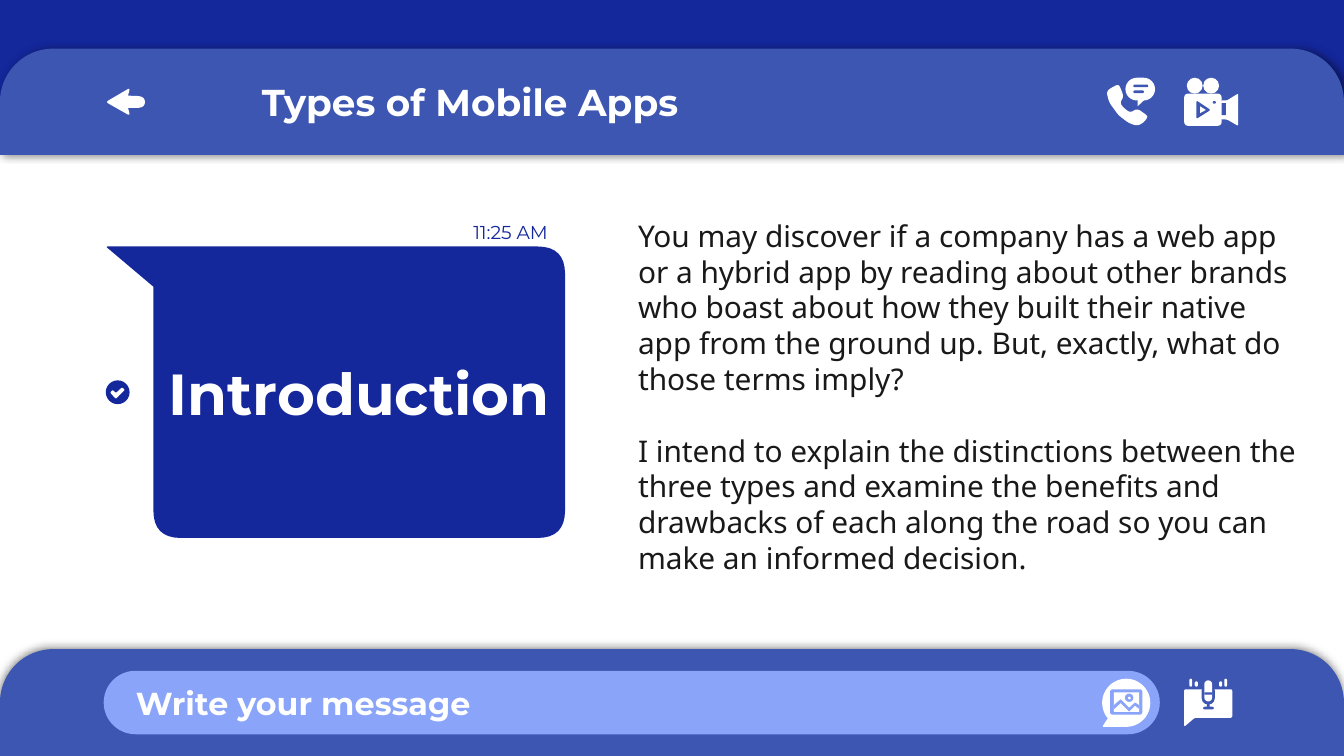
from dataclasses import dataclass
from math import hypot

from lxml.etree import SubElement
from pptx import Presentation
from pptx.dml.color import RGBColor
from pptx.enum.shapes import MSO_SHAPE as SHAPE
from pptx.enum.text import MSO_ANCHOR as ANCHOR, PP_ALIGN as ALIGN
from pptx.oxml.ns import qn
from pptx.util import Cm, Pt


@dataclass(frozen=True)
class Theme:
    """Colours, fonts and type sizes of the slide."""
    navy: str = "14279B"
    blue: str = "3D56B2"
    pale: str = "8AA4F9"
    white: str = "FFFFFF"
    ink: str = "191919"
    head_font: str = "Montserrat"
    body_font: str = "Noto Sans"
    title: int = 31
    heading: int = 20
    prompt: int = 17
    body: int = 16
    time: int = 10


@dataclass(frozen=True)
class Box:
    """A rectangle in centimetres."""
    x: float
    y: float
    w: float
    h: float

    def sub(self, dx, dy, w, h):
        """Return a box offset from this one's top left corner."""
        return Box(self.x + dx, self.y + dy, w, h)

    def emu(self):
        """Return left, top, width and height as lengths."""
        return Cm(self.x), Cm(self.y), Cm(self.w), Cm(self.h)


T = Theme()


def paint(sp, color):
    """Give a shape a plain fill without line or shadow."""
    sp.shadow.inherit = False
    sp.fill.solid()
    sp.fill.fore_color.rgb = RGBColor.from_string(color)
    sp.line.fill.background()
    return sp


def preset(s, kind, box, color, *adjust):
    """Add a filled preset shape."""
    sp = paint(s.shapes.add_shape(kind, *box.emu()), color)
    for i, value in enumerate(adjust):
        sp.adjustments[i] = value
    return sp


def parts(s, box, kind, color, rects, *adjust):
    """Add several presets of one kind, offset from the box."""
    for rect in rects:
        preset(s, kind, box.sub(*rect), color, *adjust)


def soften(corners, radius):
    """Round the corners; a third value in a corner is its own radius."""
    points = []
    for i, (x, y, *own) in enumerate(corners):
        r = own[0] if own else radius
        if not r:
            points.append((x, y))
            continue
        ends = []
        for nx, ny, *_ in (corners[i - 1], corners[(i + 1) % len(corners)]):
            k = min(r / hypot(nx - x, ny - y), 0.5)
            ends.append((x + (nx - x) * k, y + (ny - y) * k))
        (ax, ay), (bx, by) = ends
        for t in (n / 8 for n in range(9)):
            a, m, b = (1 - t) ** 2, 2 * t * (1 - t), t * t
            points.append((a * ax + m * x + b * bx, a * ay + m * y + b * by))
    return points


def outline(s, box, color, corners, radius=0):
    """Add a closed outline whose corners are offsets from the box."""
    points = [(Cm(box.x + x), Cm(box.y + y)) for x, y in soften(corners, radius)]
    builder = s.shapes.build_freeform(*points[0])
    builder.add_line_segments(points[1:])
    return paint(builder.convert_to_shape(), color)


def text(s, box, lines, size, color, font=T.head_font, bold=False,
         align=ALIGN.LEFT, anchor=ANCHOR.MIDDLE):
    """Add a text box with one paragraph per line and return its frame."""
    tf = s.shapes.add_textbox(*box.emu()).text_frame
    tf.word_wrap = True
    tf.vertical_anchor = anchor
    tf.margin_left = tf.margin_right = tf.margin_top = tf.margin_bottom = Cm(0.25)
    tf.text = "\n".join(lines)
    for p in tf.paragraphs:
        p.alignment = align
        for r in p.runs:
            r.font.name, r.font.size, r.font.bold = font, Pt(size), bold
            r.font.color.rgb = RGBColor.from_string(color)
    return tf


def bar(s, box, angle):
    """Draw a blue bar with round top corners and a soft shadow."""
    sp = preset(s, SHAPE.ROUND_2_SAME_RECTANGLE, box, T.blue, 0.5, 0)
    effects = sp._element.spPr.find(qn("a:effectLst"))
    shadow = SubElement(effects, qn("a:outerShdw"), blurRad=str(Pt(4.5)),
                        dist=str(Pt(1.5)), dir=str(angle * 60000), rotWithShape="0")
    black = SubElement(shadow, qn("a:srgbClr"), val="000000")
    SubElement(black, qn("a:alpha"), val="50000")


def phone_icon(s, box):
    """Draw a handset with a speech bubble."""
    outline(s, box, T.white, [
        (0.2, 0.13), (0, 0.25), (0.05, 0.46), (0.23, 0.71), (0.43, 0.86),
        (0.58, 0.91), (0.69, 0.86), (0.79, 0.74), (0.74, 0.69), (0.58, 0.58),
        (0.46, 0.66), (0.36, 0.6), (0.25, 0.48), (0.33, 0.36), (0.25, 0.15)], 0.08)
    parts(s, box, SHAPE.ROUNDED_RECTANGLE, T.white, [(0.36, 0, 0.56, 0.43)], 0.5)
    outline(s, box, T.white, [(0.59, 0.4), (0.59, 0.54), (0.74, 0.4)])
    parts(s, box, SHAPE.ROUNDED_RECTANGLE, T.blue,
          [(0.51, 0.13, 0.28, 0.05), (0.51, 0.24, 0.2, 0.05)], 0.5)


def camera_icon(s, box):
    """Draw a film camera with two reels and a play mark."""
    parts(s, box, SHAPE.OVAL, T.white, [(0.05, 0, 0.3, 0.3), (0.36, 0, 0.3, 0.3)])
    parts(s, box, SHAPE.ROUNDED_RECTANGLE, T.white, [(0, 0.3, 0.71, 0.61)], 0.12)
    outline(s, box, T.white, [(0.7, 0.43), (0.81, 0.43), (1.02, 0.3),
                              (1.02, 0.91), (0.81, 0.79), (0.7, 0.79)], 0.03)
    parts(s, box, SHAPE.RECTANGLE, T.blue, [(0.71, 0.48, 0.08, 0.23)])
    parts(s, box, SHAPE.OVAL, T.blue, [(0.54, 0.44, 0.06, 0.05)])
    outline(s, box, T.blue, [(0.23, 0.43), (0.5, 0.61), (0.23, 0.78)], 0.04)
    outline(s, box, T.white, [(0.3, 0.54), (0.41, 0.61), (0.3, 0.67)])


def picture_icon(s, box):
    """Draw a framed landscape in a round bubble."""
    preset(s, SHAPE.OVAL, box, T.white)
    outline(s, box, T.white, [(0, 0.91), (0.46, 0.91), (0.12, 0.73)], 0.03)
    parts(s, box, SHAPE.ROUNDED_RECTANGLE, T.pale, [(0.15, 0.2, 0.61, 0.48)], 0.1)
    parts(s, box, SHAPE.RECTANGLE, T.white, [(0.22, 0.26, 0.48, 0.37)])
    outline(s, box, T.pale, [
        (0.22, 0.5), (0.35, 0.39), (0.51, 0.55), (0.62, 0.45), (0.7, 0.5),
        (0.7, 0.57), (0.62, 0.51), (0.51, 0.62), (0.35, 0.46), (0.22, 0.58)])
    parts(s, box, SHAPE.OVAL, T.pale, [(0.43, 0.28, 0.16, 0.16)])
    parts(s, box, SHAPE.OVAL, T.white, [(0.49, 0.34, 0.05, 0.05)])


def microphone_icon(s, box):
    """Draw a microphone on a speech bubble with sound marks."""
    pill = SHAPE.ROUNDED_RECTANGLE
    outline(s, box, T.white, [(0, 0.2), (0.91, 0.2), (0.91, 0.74),
                              (0.2, 0.74), (0, 0.91)], 0.04)
    parts(s, box, pill, T.white, [(0.1, 0, 0.05, 0.15), (0.2, 0.05, 0.06, 0.1),
                                  (0.66, 0.05, 0.06, 0.1), (0.76, 0, 0.05, 0.15)], 0.5)
    parts(s, box, pill, T.blue, [(0.33, 0.1, 0.25, 0.39), (0.43, 0.46, 0.05, 0.1),
                                 (0.36, 0.53, 0.2, 0.05)], 0.5)
    parts(s, box, pill, T.white, [(0.38, 0.03, 0.15, 0.4)], 0.5)
    parts(s, box, SHAPE.RECTANGLE, T.blue, [(0.38, 0.26, 0.15, 0.04)])


def header(s, box):
    """Draw the top bar with back arrow, heading and call icons."""
    preset(s, SHAPE.RECTANGLE, Box(box.x, box.y, box.w, 2.55), T.navy)
    bar(s, box.sub(0, 0.92, box.w, box.h - 0.92), 0)
    outline(s, box.sub(2, 1.66, 0.74, 0.53), T.white, [
        (0, 0.27), (0.46, 0.53), (0.42, 0.38, 0), (0.74, 0.38, 0.15),
        (0.74, 0.16, 0.15), (0.42, 0.15, 0), (0.46, 0)], 0.06)
    text(s, box.sub(4.7, 1.23, 9.47, 1.37), ["Types of Mobile Apps"],
         T.heading, T.white, bold=True)
    phone_icon(s, box.sub(20.91, 1.47, 0.91, 0.91))
    camera_icon(s, box.sub(22.38, 1.47, 1.02, 0.91))


def message(s, box, title, time):
    """Draw a speech bubble with its title, time and read mark."""
    left, tail, w, h = 0.9, 0.76, box.w, box.h
    outline(s, box, T.navy, [(0, 0, 0.04), (w, 0), (w, h), (left, h),
                             (left, tail, 0)], 0.52)
    text(s, box.sub(left, 1.84, w - left, 1.83), [title], T.title, T.white,
         bold=True, align=ALIGN.CENTER)
    text(s, box.sub(w - 2.24, -0.68, 2.16, 0.81), [time], T.time, T.navy,
         align=ALIGN.RIGHT)
    mark = box.sub(0, 2.53, 0.45, 0.45)
    preset(s, SHAPE.OVAL, mark, T.navy)
    outline(s, mark, T.white, [(0.08, 0.23), (0.13, 0.18), (0.19, 0.24),
                               (0.31, 0.13), (0.36, 0.18), (0.19, 0.35)], 0.03)


def article(s, box, paragraphs):
    """Place the running text with a line's gap between paragraphs."""
    tf = text(s, box, paragraphs, T.body, T.ink, T.body_font, anchor=ANCHOR.TOP)
    for i, p in enumerate(tf.paragraphs):
        p.line_spacing = 1.0
        p.space_before = Pt(19.2 if i else 0)


def footer(s, box):
    """Draw the bottom bar with the message field and its icons."""
    bar(s, box, 237)
    preset(s, SHAPE.ROUNDED_RECTANGLE, box.sub(1.96, 0.41, 19.96, 1.2), T.pale, 0.5)
    text(s, box.sub(2.32, 0.41, 9.47, 1.2), ["Write your message"],
         T.prompt, T.white, bold=True)
    picture_icon(s, box.sub(20.83, 0.56, 0.91, 0.91))
    microphone_icon(s, box.sub(22.38, 0.56, 0.91, 0.91))


def main():
    """Build the slide and save it."""
    prs = Presentation()
    prs.slide_width, prs.slide_height = Cm(25.4), Cm(14.29)
    s = prs.slides.add_slide(prs.slide_layouts[6])
    header(s, Box(0, 0, 25.4, 2.93))
    footer(s, Box(0, 12.27, 25.4, 2.02))
    message(s, Box(2, 4.66, 8.68, 5.51), "Introduction", "11:25 AM")
    article(s, Box(11.81, 3.86, 13.06, 8.84), [
        "You may discover if a company has a web app or a hybrid app by reading "
        "about other brands who boast about how they built their native app from "
        "the ground up. But, exactly, what do those terms imply?",
        "I intend to explain the distinctions between the three types and examine "
        "the benefits and drawbacks of each along the road so you can make an "
        "informed decision."])
    prs.save("out.pptx")


if __name__ == "__main__":
    main()
